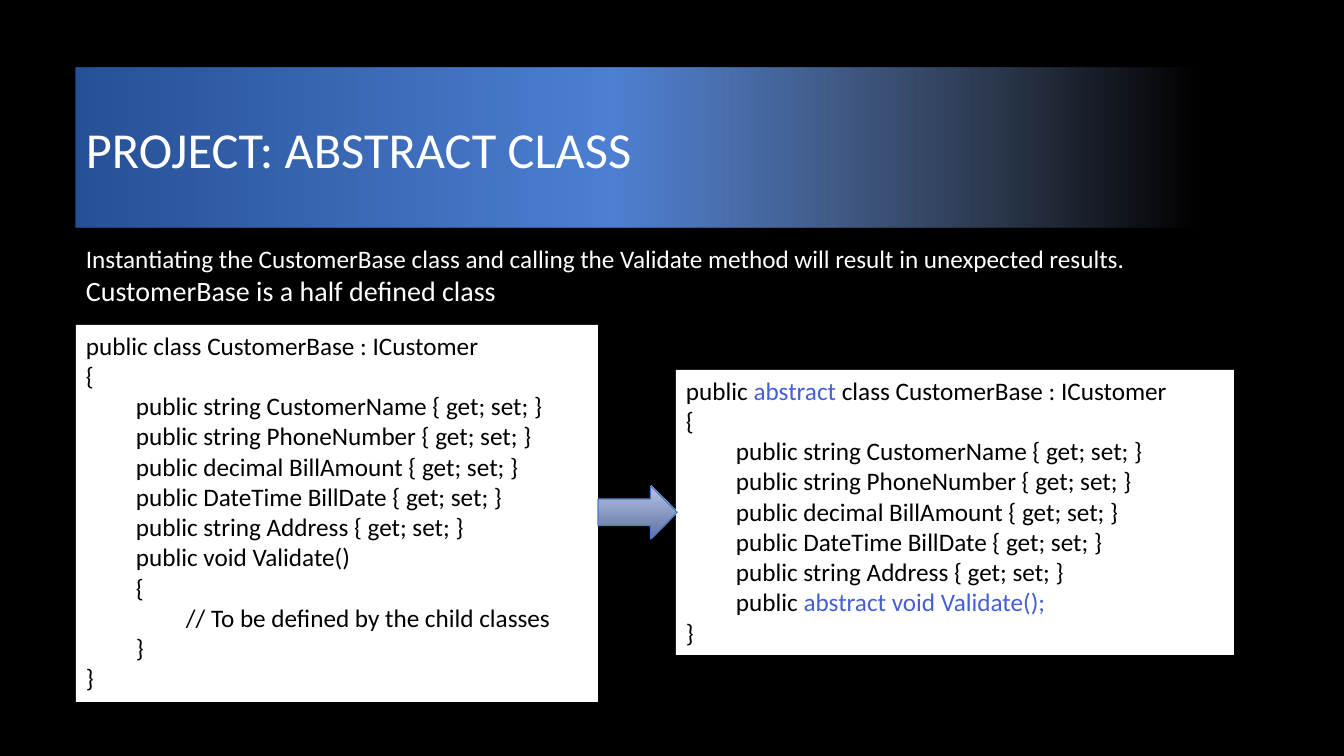
from pptx import Presentation
from pptx.dml.color import RGBColor
from pptx.enum.shapes import MSO_SHAPE
from pptx.enum.text import MSO_ANCHOR, PP_ALIGN
from pptx.oxml import parse_xml
from pptx.oxml.ns import nsdecls
from pptx.util import Pt

RECT, ARROW = MSO_SHAPE.RECTANGLE, MSO_SHAPE.RIGHT_ARROW
TOP, MIDDLE = MSO_ANCHOR.TOP, MSO_ANCHOR.MIDDLE
LEFT = PP_ALIGN.LEFT
WHITE, BLACK, ACCENT = "FFFFFF", "000000", "455FD6"
FONT = "Calibri"
TAB = 50  # px per indent level

# Content: a paragraph is (indent level, [(text, size, colour), ...])
TITLE = [(0, [("PROJECT: ABSTRACT CLASS", 36, WHITE)])]
INTRO = [(0, [
    ("Instantiating the CustomerBase class and calling the Validate method "
     "will result in unexpected results. ", 18, WHITE),
    ("CustomerBase is a half defined class", 20, WHITE),
])]


def code(level, *parts):
    """A code line; every second part is highlighted."""
    return level, [(t, 18, ACCENT if i % 2 else BLACK) for i, t in enumerate(parts)]


PROPERTIES = [code(1, f"public {name} {{ get; set; }}") for name in (
    "string CustomerName", "string PhoneNumber", "decimal BillAmount",
    "DateTime BillDate", "string Address")]
BEFORE = [
    code(0, "public class CustomerBase : ICustomer"),
    code(0, "{"),
    *PROPERTIES,
    code(1, "public void Validate()"),
    code(1, "{"),
    code(2, "// To be defined by the child classes"),
    code(1, "}"),
    code(0, "}"),
]
AFTER = [
    code(0, "public ", "abstract", " class CustomerBase : ICustomer"),
    code(0, "{"),
    *PROPERTIES,
    code(1, "public ", "abstract void Validate();"),
    code(0, "}"),
]

# Gradient stops: (position %, colour, opacity %)
TITLE_STOPS = [(0, "265096", 100), (48, "4D7FD2", 100), (100, "91B0E3", 0)]
ARROW_STOPS = [(0, "BCC8E9", 100), (100, "859EDA", 74)]


def px(n):
    return round(n * 914400 / 100.8)


def rgb(hex_colour):
    return RGBColor.from_string(hex_colour)


def add_box(box, kind=RECT, fill=None):
    sp = slide.shapes.add_shape(kind, *map(px, box))
    sp.shadow.inherit = False
    sp.line.fill.background()
    if fill:
        sp.fill.solid()
        sp.fill.fore_color.rgb = rgb(fill)
    else:
        sp.fill.background()
    return sp


def set_gradient(sp, stops, angle):
    sp.fill.gradient()
    gs = "".join(
        f'<a:gs pos="{pos * 1000}"><a:srgbClr val="{colour}">'
        f'<a:alpha val="{opacity * 1000}"/></a:srgbClr></a:gs>'
        for pos, colour, opacity in stops)
    grad = parse_xml(
        f'<a:gradFill {nsdecls("a")} rotWithShape="1"><a:gsLst>{gs}</a:gsLst>'
        f'<a:lin ang="{angle * 60000}" scaled="0"/></a:gradFill>')
    spPr = sp._element.spPr
    spPr.replace(spPr.find(grad.tag), grad)


def write(sp, paragraphs, anchor):
    tf = sp.text_frame
    tf.word_wrap = True
    tf.vertical_anchor = anchor
    for i, (level, runs) in enumerate(paragraphs):
        p = tf.add_paragraph() if i else tf.paragraphs[0]
        p.alignment = LEFT
        if level:
            p._p.get_or_add_pPr().set("marL", str(px(level * TAB)))
        for text, size, colour in runs:
            r = p.add_run()
            r.text = text
            r.font.name = FONT
            r.font.size = Pt(size)
            r.font.color.rgb = rgb(colour)


prs = Presentation()
prs.slide_width, prs.slide_height = px(1344), px(756)
slide = prs.slides.add_slide(prs.slide_layouts[6])
slide.background.fill.solid()
slide.background.fill.fore_color.rgb = rgb(BLACK)

# Title band and introduction
title = add_box((76, 68, 1117, 160))
set_gradient(title, TITLE_STOPS, 0)
write(title, TITLE, MIDDLE)
write(add_box((76, 236, 1117, 78)), INTRO, MIDDLE)

# Code before and after
write(add_box((76, 325, 522, 377), fill=WHITE), BEFORE, TOP)
write(add_box((676, 370, 558, 285), fill=WHITE), AFTER, TOP)

# Arrow between the two
arrow = add_box((598, 486, 79, 53), ARROW)
set_gradient(arrow, ARROW_STOPS, 90)
arrow.line.color.rgb = rgb("477BD1")
arrow.line.width = Pt(0.75)

prs.save("out.pptx")
